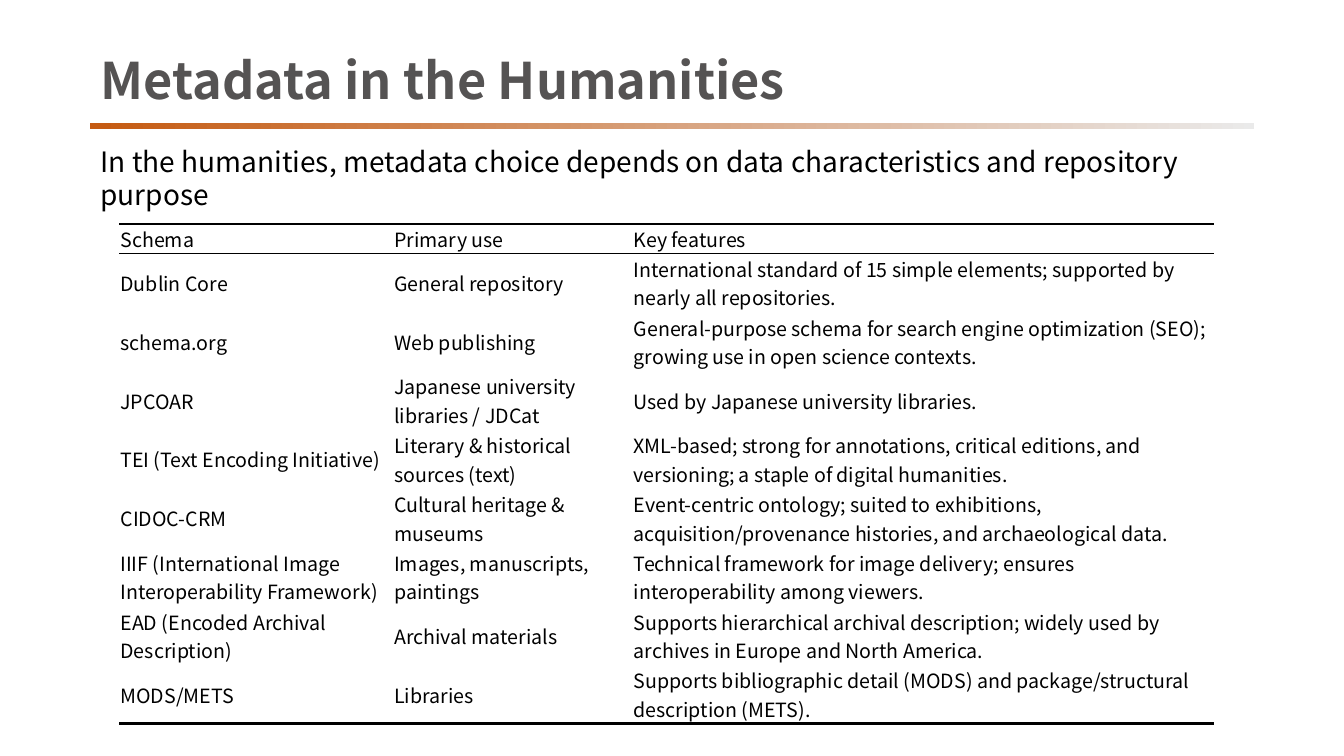
from lxml import etree
from pptx import Presentation
from pptx.dml.color import RGBColor
from pptx.enum.shapes import MSO_SHAPE
from pptx.enum.text import MSO_ANCHOR
from pptx.oxml.ns import qn
from pptx.util import Inches, Pt

RECTANGLE = MSO_SHAPE.RECTANGLE
TOP, MIDDLE = MSO_ANCHOR.TOP, MSO_ANCHOR.MIDDLE

COLORS = {"title": "555353", "text": "000000", "accent": "C55A11", "fade": "EAEAEA"}
FONT = "Noto Sans CJK JP"
PLAIN_TABLE_STYLE = "{2D5ABB26-0587-4C30-8999-92F81FD0307C}"

HEADER = ("Schema", "Primary use", "Key features")
SCHEMAS = [
    ("Dublin Core", "General repository",
     "International standard of 15 simple elements; supported by nearly all repositories."),
    ("schema.org", "Web publishing",
     "General-purpose schema for search engine optimization (SEO); "
     "growing use in open science contexts."),
    ("JPCOAR", "Japanese university libraries / JDCat",
     "Used by Japanese university libraries."),
    ("TEI (Text Encoding Initiative)", "Literary & historical sources (text)",
     "XML-based; strong for annotations, critical editions, and versioning; "
     "a staple of digital humanities."),
    ("CIDOC-CRM", "Cultural heritage & museums",
     "Event-centric ontology; suited to exhibitions, acquisition/provenance histories, "
     "and archaeological data."),
    ("IIIF (International Image Interoperability Framework)",
     "Images, manuscripts, paintings",
     "Technical framework for image delivery; ensures interoperability among viewers."),
    ("EAD (Encoded Archival Description)", "Archival materials",
     "Supports hierarchical archival description; widely used by archives in Europe "
     "and North America."),
    ("MODS/METS", "Libraries",
     "Supports bibliographic detail (MODS) and package/structural description (METS)."),
]


class SlideBuilder:
    """Places elements by percentages of the slide's width and height."""

    def __init__(self, presentation):
        self.width = presentation.slide_width
        self.height = presentation.slide_height
        self.slide = presentation.slides.add_slide(presentation.slide_layouts[6])

    def across(self, percent):
        return round(self.width * percent / 100)

    def down(self, percent):
        return round(self.height * percent / 100)

    def box(self, left, top, width, height):
        return self.across(left), self.down(top), self.across(width), self.down(height)

    def fill_text(self, text_frame, content, size, color="text", bold=False):
        text_frame.text = content
        for run in text_frame.paragraphs[0].runs:
            run.font.name = FONT
            run.font.size = Pt(size)
            run.font.bold = bold
            run.font.color.rgb = RGBColor.from_string(COLORS[color])

    def text(self, place, content, size, color="text", bold=False, anchor=TOP):
        text_frame = self.slide.shapes.add_textbox(*self.box(*place)).text_frame
        text_frame.word_wrap = True
        text_frame.vertical_anchor = anchor
        self.fill_text(text_frame, content, size, color, bold)

    def gradient_bar(self, place, start, end):
        shape = self.slide.shapes.add_shape(RECTANGLE, *self.box(*place))
        shape.shadow.inherit = False
        shape.line.fill.background()
        shape.fill.gradient()
        shape.fill.gradient_angle = 0
        for stop, color in zip(shape.fill.gradient_stops, (start, end)):
            stop.color.rgb = RGBColor.from_string(COLORS[color])

    def border(self, cell, side, points):
        """Draws one side of a cell, or clears it when points is None."""
        line = etree.Element(qn(f"a:{side}"))
        if points is None:
            etree.SubElement(line, qn("a:noFill"))
        else:
            line.set("w", str(Pt(points)))
            fill = etree.SubElement(line, qn("a:solidFill"))
            etree.SubElement(fill, qn("a:srgbClr"), val=COLORS["text"])
        cell._tc.get_or_add_tcPr().insert(0, line)

    def table(self, left, top, columns, rows, contents, rules, size):
        """Rules maps a row boundary to the weight of the line drawn there."""
        frame = self.slide.shapes.add_table(
            len(rows), len(columns), *self.box(left, top, sum(columns), sum(rows)))
        table = frame.table
        table.first_row = table.horz_banding = False
        table._tbl.tblPr.find(qn("a:tableStyleId")).text = PLAIN_TABLE_STYLE
        for column, width in zip(table.columns, columns):
            column.width = self.across(width)
        for index, height in enumerate(rows):
            table.rows[index].height = self.down(height)
            for position, content in enumerate(contents[index]):
                cell = table.cell(index, position)
                self.cell(cell, content, size)
                if 0 < position < len(columns) - 1:
                    self.border(cell, "lnB", rules.get(index + 1))
                    self.border(cell, "lnT", rules.get(index))

    def cell(self, cell, content, size):
        cell.fill.background()
        cell.vertical_anchor = MIDDLE
        cell.margin_left = cell.margin_right = cell.margin_top = Inches(0.01)
        cell.margin_bottom = 0
        if content:
            self.fill_text(cell.text_frame, content, size)
        else:  # keeps the spacer rows and columns from growing
            paragraph = cell.text_frame.paragraphs[0]
            etree.SubElement(paragraph._p, qn("a:endParaRPr"), sz="1000")


def main():
    presentation = Presentation()
    presentation.slide_width = Inches(13.33)
    presentation.slide_height = Inches(7.5)
    builder = SlideBuilder(presentation)

    # Heading with its fading rule
    builder.gradient_bar((6.68, 16.27, 86.65, 0.8), "accent", "fade")
    builder.text((6.74, 5.2, 86.65, 10.53), "Metadata in the Humanities",
                 36, "title", bold=True, anchor=MIDDLE)

    # Key statement
    builder.text((6.74, 18.4, 86.12, 77.73),
                 "In the humanities, metadata choice depends on data characteristics "
                 "and repository purpose", 20)

    # Schema comparison, framed by empty spacer cells
    blank = ("",) * 5
    body = [("", *row, "") for row in (HEADER, *SCHEMAS)]
    contents = [blank, *body, blank]
    spacer, header, entry = 3.47, 3.87, 7.78
    rows = [spacer, header, *[entry] * len(SCHEMAS), spacer]
    rules = {1: 2, 2: 0.5, len(rows) - 1: 2}
    builder.table(6.19, 26.13, [2.7, 20.37, 17.82, 43.25, 2.48], rows, contents, rules, 14)

    presentation.save("out.pptx")


if __name__ == "__main__":
    main()
